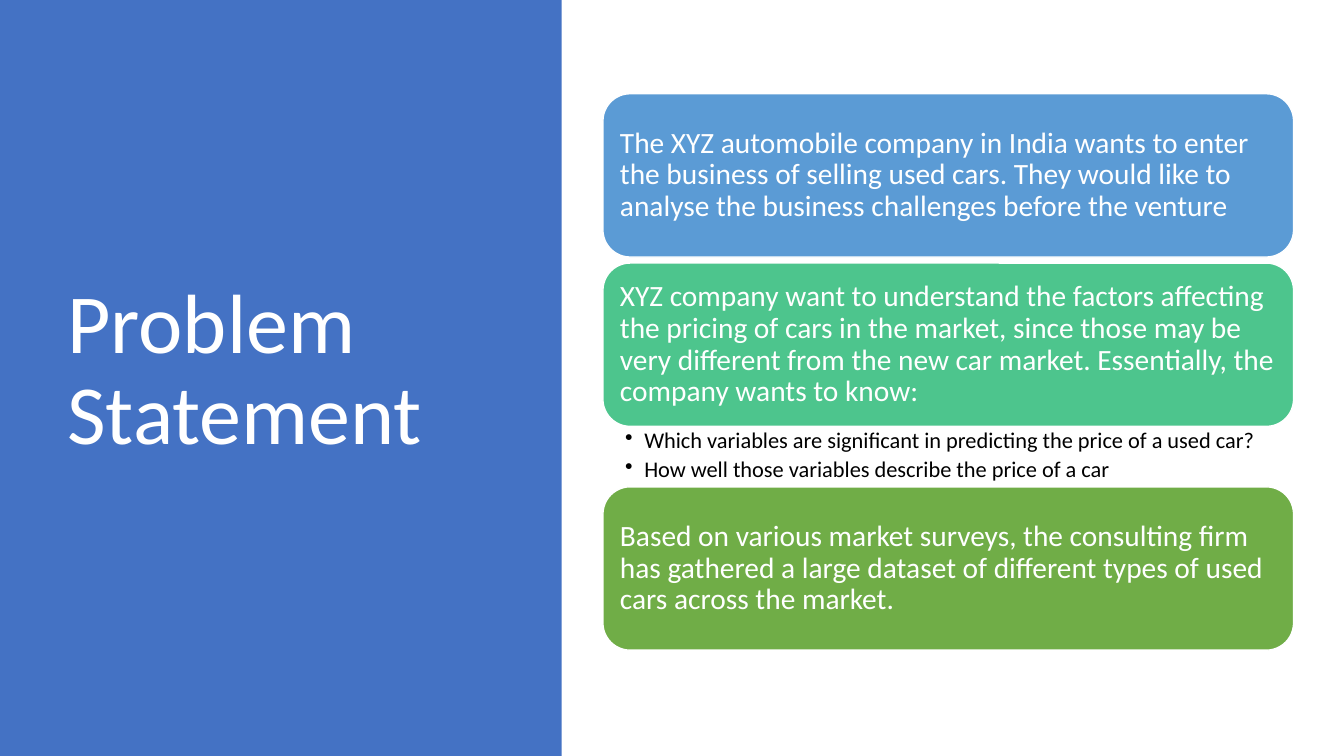
"""Build the problem statement slide."""
from lxml.etree import SubElement
from pptx import Presentation
from pptx.dml.color import RGBColor
from pptx.enum.shapes import MSO_SHAPE
from pptx.enum.text import MSO_ANCHOR, PP_ALIGN
from pptx.oxml.ns import qn
from pptx.util import Inches, Pt


def paint(target, color):
    target.solid()
    target.fore_color.rgb = RGBColor.from_string(color)


def write(para, text, size, color, after=0):
    para.alignment = PP_ALIGN.LEFT
    para.line_spacing = 0.9
    para.space_after = Pt(size * after)
    run = para.add_run()
    run.text = text
    run.font.size = Pt(size)
    run.font.name = "Calibri"
    run.font.color.rgb = RGBColor.from_string(color)


deck = Presentation()
deck.slide_width = Inches(13.33)
deck.slide_height = Inches(7.5)
slide = deck.slides.add_slide(deck.slide_layouts[6])
shapes = slide.shapes

panel = shapes.add_shape(MSO_SHAPE.RECTANGLE, 0, 0, Inches(5.57), Inches(7.5))
panel.shadow.inherit = False
paint(panel.fill, "4472C4")
panel.line.fill.background()

title = shapes.add_textbox(Inches(0.57), Inches(0.68), Inches(4.16), Inches(6.02))
frame = title.text_frame
frame.word_wrap = True
frame.vertical_anchor = MSO_ANCHOR.MIDDLE
write(frame.paragraphs[0], "Problem Statement", 60, "FFFFFF")

left, width = Inches(5.98), Inches(6.85)
cards = [
    (0.93, "5B9BD5", "The XYZ automobile company in India wants to enter the business of "
     "selling used cars. They would like to analyse the business challenges before the venture"),
    (2.61, "4DC58D", "XYZ company want to understand the factors affecting the pricing of cars "
     "in the market, since those may be very different from the new car market. "
     "Essentially, the company wants to know:"),
    (4.83, "70AD47", "Based on various market surveys, the consulting firm has gathered a large "
     "dataset of different types of used cars across the market."),
]
for top, color, text in cards:
    card = shapes.add_shape(MSO_SHAPE.ROUNDED_RECTANGLE, left, Inches(top), width, Inches(1.62))
    card.shadow.inherit = False
    paint(card.fill, color)
    paint(card.line.fill, "FFFFFF")
    card.line.width = Pt(1)
    frame = card.text_frame
    frame.word_wrap = True
    frame.vertical_anchor = MSO_ANCHOR.MIDDLE
    frame.margin_left = frame.margin_right = Inches(0.09)
    frame.margin_top = frame.margin_bottom = Inches(0.09)
    write(frame.paragraphs[0], text, 21, "FFFFFF", 0.35)

points = shapes.add_textbox(left, Inches(4.23), width, Inches(0.61))
frame = points.text_frame
frame.word_wrap = True
frame.margin_left, frame.margin_right = Inches(0.22), Inches(0.16)
frame.margin_top = frame.margin_bottom = Inches(0.03)
asks = [
    "Which variables are significant in predicting the price of a used car?",
    "How well those variables describe the price of a car",
]
for i, text in enumerate(asks):
    para = frame.add_paragraph() if i else frame.paragraphs[0]
    para.level = 1
    write(para, text, 16, "000000", 0.2)
    props = para._p.get_or_add_pPr()
    props.set("marL", str(Inches(0.19)))
    props.set("indent", str(-Inches(0.19)))
    SubElement(props, qn("a:buChar"), char="•")

deck.save("out.pptx")
